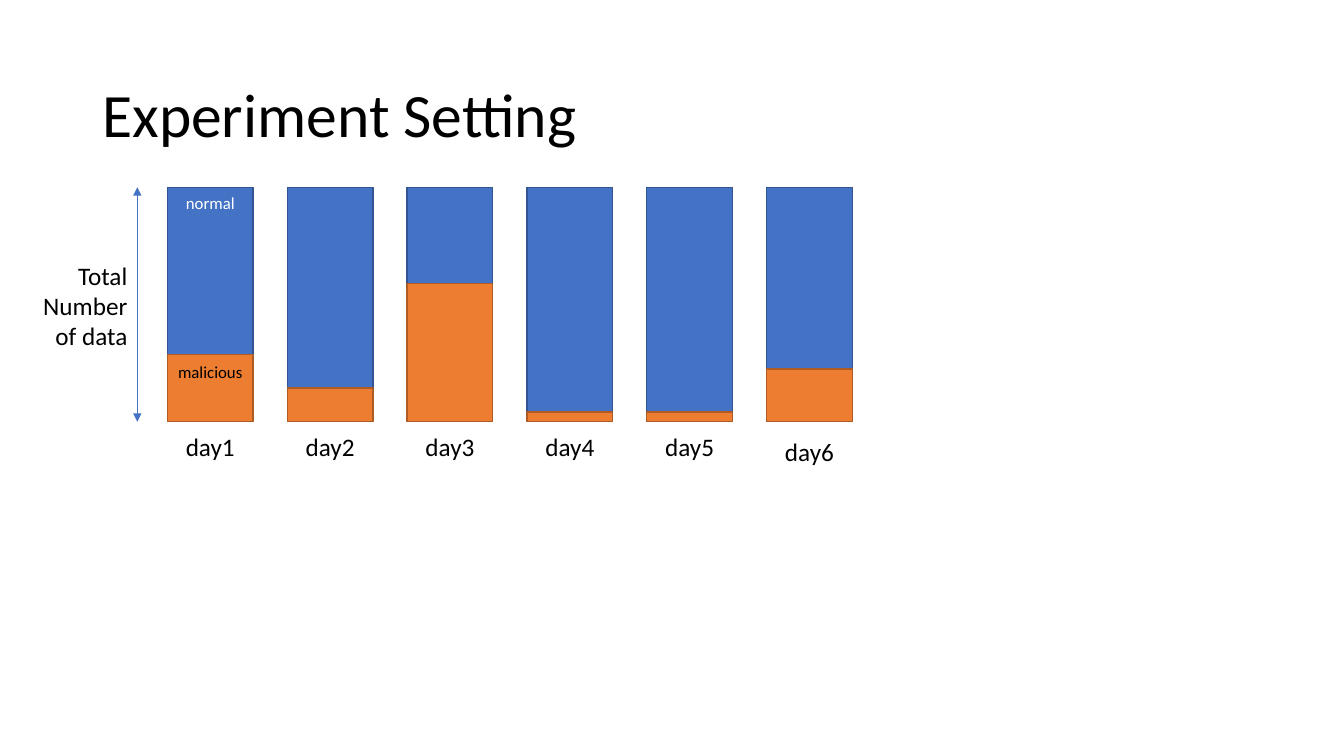
"""Build the experiment setting slide: normal and malicious data shares over six days."""
from dataclasses import dataclass

from lxml import etree
from pptx import Presentation
from pptx.dml.color import RGBColor
from pptx.enum.shapes import MSO_CONNECTOR, MSO_SHAPE
from pptx.enum.text import MSO_ANCHOR, PP_ALIGN
from pptx.oxml.ns import qn
from pptx.util import Cm, Pt

LEFT, CENTER, RIGHT = PP_ALIGN.LEFT, PP_ALIGN.CENTER, PP_ALIGN.RIGHT
TOP, MIDDLE = MSO_ANCHOR.TOP, MSO_ANCHOR.MIDDLE
RECTANGLE = MSO_SHAPE.RECTANGLE
STRAIGHT = MSO_CONNECTOR.STRAIGHT


@dataclass(frozen=True)
class Theme:
    font: str = "Calibri"
    text: str = "000000"
    inverse: str = "FFFFFF"
    normal: str = "4472C4"
    normal_edge: str = "325491"
    malicious: str = "ED7D31"
    malicious_edge: str = "AF5C24"
    title_size: int = 44
    label_size: int = 18
    note_size: int = 12


theme = Theme()
deck = Presentation()
deck.slide_width, deck.slide_height = Cm(33.87), Cm(19.05)
slide = deck.slides.add_slide(deck.slide_layouts[6])


def add_text(lines, left, top, width, height, size, color=theme.text, align=CENTER, anchor=TOP):
    frame = slide.shapes.add_textbox(Cm(left), Cm(top), Cm(width), Cm(height)).text_frame
    frame.word_wrap = True
    frame.vertical_anchor = anchor
    for index, line in enumerate(lines):
        paragraph = frame.add_paragraph() if index else frame.paragraphs[0]
        paragraph.alignment = align
        run = paragraph.add_run()
        run.text = line
        run.font.name = theme.font
        run.font.size = Pt(size)
        run.font.color.rgb = RGBColor.from_string(color)


def add_share(left, top, height, fill, edge):
    share = slide.shapes.add_shape(RECTANGLE, Cm(left), Cm(top), Cm(BAR_WIDTH), Cm(height))
    share.shadow.inherit = False
    share.fill.solid()
    share.fill.fore_color.rgb = RGBColor.from_string(fill)
    share.line.color.rgb = RGBColor.from_string(edge)
    share.line.width = Pt(1)


BAR_LEFT, BAR_TOP, BAR_WIDTH, BAR_HEIGHT, BAR_PITCH = 4.22, 4.72, 2.16, 5.91, 3.02
BAR_BOTTOM = BAR_TOP + BAR_HEIGHT
AXIS_X = 3.46
malicious_heights = {"day1": 1.7, "day2": 0.85, "day3": 3.48, "day4": 0.25, "day5": 0.25, "day6": 1.33}
label_drops = {"day6": 0.13}

add_text(["Experiment Setting"], 2.33, 1.01, 29.21, 3.68, theme.title_size, align=LEFT, anchor=MIDDLE)

for index, (day, malicious_height) in enumerate(malicious_heights.items()):
    left = BAR_LEFT + index * BAR_PITCH
    normal_height = BAR_HEIGHT - malicious_height
    add_share(left, BAR_TOP, normal_height, theme.normal, theme.normal_edge)
    add_share(left, BAR_TOP + normal_height, malicious_height, theme.malicious, theme.malicious_edge)
    label_top = BAR_BOTTOM + 0.11 + label_drops.get(day, 0)
    add_text([day], left, label_top, BAR_WIDTH, 1.03, theme.label_size)

malicious_top = BAR_BOTTOM - malicious_heights["day1"]
add_text(["normal"], BAR_LEFT, BAR_TOP, BAR_WIDTH, 0.77, theme.note_size, theme.inverse)
add_text(["malicious"], BAR_LEFT, malicious_top + 0.06, BAR_WIDTH, 0.77, theme.note_size)
add_text(["Total", "Number of data"], 0.36, 6.43, 3.1, 2.56, theme.label_size, align=RIGHT)

total_span = slide.shapes.add_connector(STRAIGHT, Cm(AXIS_X), Cm(BAR_TOP), Cm(AXIS_X), Cm(BAR_BOTTOM))
total_span.line.color.rgb = RGBColor.from_string(theme.normal)
total_span.line.width = Pt(0.5)
span_line = total_span.line._get_or_add_ln()
for end in ("a:headEnd", "a:tailEnd"):
    etree.SubElement(span_line, qn(end), type="triangle")
etree.SubElement(total_span._element.spPr, qn("a:effectLst"))

deck.save("out.pptx")
